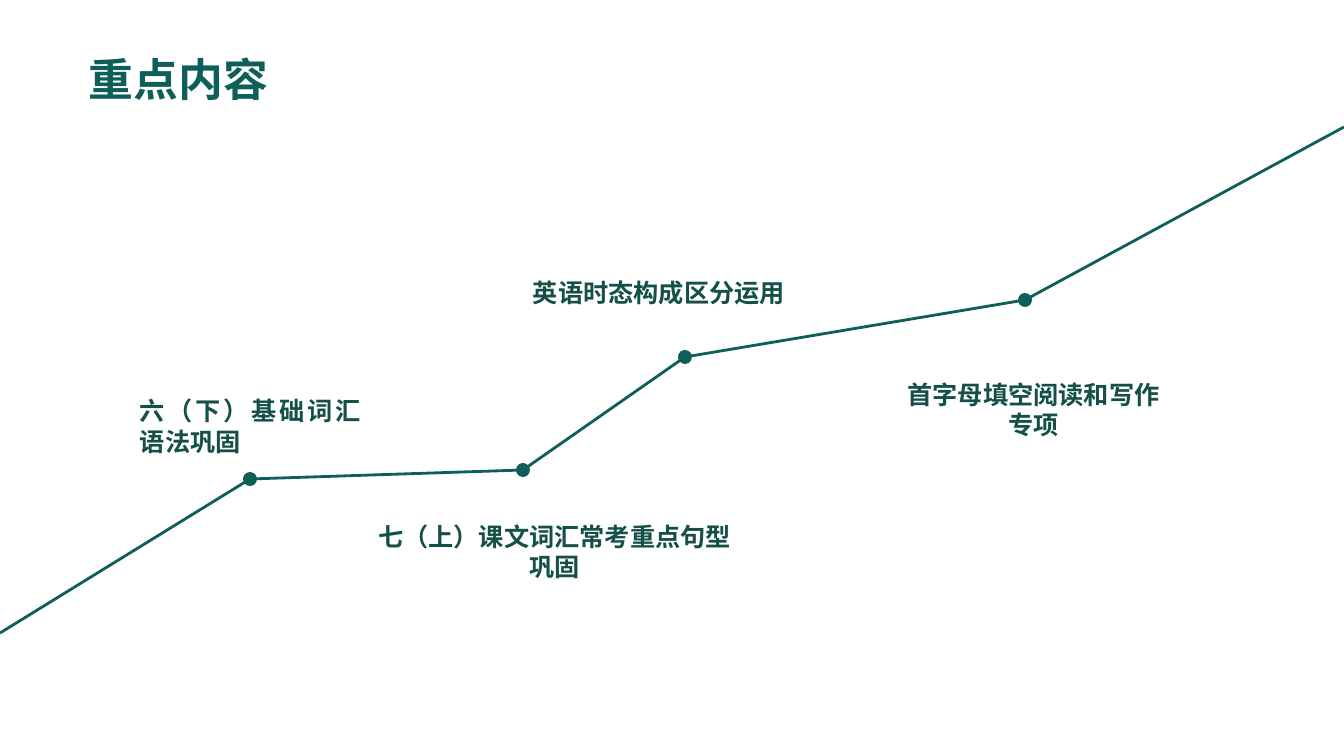
"""Build the key-content slide with a rising milestone line."""
from itertools import pairwise

from lxml import etree
from pptx import Presentation
from pptx.dml.color import RGBColor
from pptx.enum.shapes import MSO_CONNECTOR, MSO_SHAPE
from pptx.enum.text import MSO_ANCHOR, PP_ALIGN
from pptx.oxml.ns import qn
from pptx.util import Emu, Pt

STRAIGHT = MSO_CONNECTOR.STRAIGHT
RECTANGLE = MSO_SHAPE.RECTANGLE
MIDDLE, TOP = MSO_ANCHOR.MIDDLE, MSO_ANCHOR.TOP
CENTER, JUSTIFY = PP_ALIGN.CENTER, PP_ALIGN.JUSTIFY

TEAL = RGBColor(0x0E, 0x5E, 0x59)
DARK_GREEN = RGBColor(0x14, 0x50, 0x47)
WHITE = RGBColor(0xFF, 0xFF, 0xFF)
FONT = "Noto Sans CJK SC"
EMU_PER_PIXEL = 914400 / 100.8


def pixels(*lengths):
    return [Emu(round(length * EMU_PER_PIXEL)) for length in lengths]


class SlideBuilder:
    def __init__(self, presentation):
        self.slide = presentation.slides.add_slide(presentation.slide_layouts[6])

    def set_text(self, shape, text, size, color, alignment, anchor):
        frame = shape.text_frame
        frame.text = text
        frame.word_wrap = True
        frame.vertical_anchor = anchor
        paragraph = frame.paragraphs[0]
        paragraph.alignment = alignment
        font = paragraph.runs[0].font
        font.name, font.size, font.bold = FONT, Pt(size), True
        font.color.rgb = color
        east_asian = etree.SubElement(paragraph.runs[0]._r.rPr, qn("a:ea"))
        east_asian.set("typeface", FONT)

    def text(self, box, text, size=18, color=DARK_GREEN, alignment=CENTER):
        shape = self.slide.shapes.add_textbox(*pixels(*box))
        self.set_text(shape, text, size, color, alignment, TOP)

    def panel(self, box, text):
        shape = self.slide.shapes.add_shape(RECTANGLE, *pixels(*box))
        shape.shadow.inherit = False
        shape.fill.solid()
        shape.fill.fore_color.rgb = WHITE
        color = shape._element.spPr.find(".//" + qn("a:srgbClr"))
        etree.SubElement(color, qn("a:alpha")).set("val", "20000")
        shape.line.fill.background()
        self.set_text(shape, text, 18, DARK_GREEN, JUSTIFY, MIDDLE)

    def segment(self, start, end, dotted):
        connector = self.slide.shapes.add_connector(STRAIGHT, *pixels(*start, *end))
        connector.line.color.rgb = TEAL
        connector.line.width = Pt(2)
        if dotted:
            line = connector._element.spPr.find(qn("a:ln"))
            dot = etree.SubElement(line, qn("a:tailEnd"))
            for name, value in (("type", "oval"), ("w", "lg"), ("len", "lg")):
                dot.set(name, value)
        etree.SubElement(connector._element.spPr, qn("a:effectLst"))


presentation = Presentation()
presentation.slide_width, presentation.slide_height = pixels(1344, 756)
builder = SlideBuilder(presentation)

builder.text((79, 47, 266, 65), "重点内容", 32, TEAL, JUSTIFY)

milestones = [(0, 633), (250, 479), (523, 470), (685, 357), (1025, 300), (1344, 127)]
for start, end in pairwise(milestones):
    builder.segment(start, end, dotted=end != milestones[-1])

builder.panel((130, 402, 241, 48), "六（下）基础词汇语法巩固")
builder.panel((523, 268, 322, 48), "英语时态构成区分运用")
builder.text((361, 516, 387, 72), "七（上）课文词汇常考重点句型巩固")
builder.text((892, 374, 283, 72), "首字母填空阅读和写作专项")

presentation.save("out.pptx")
